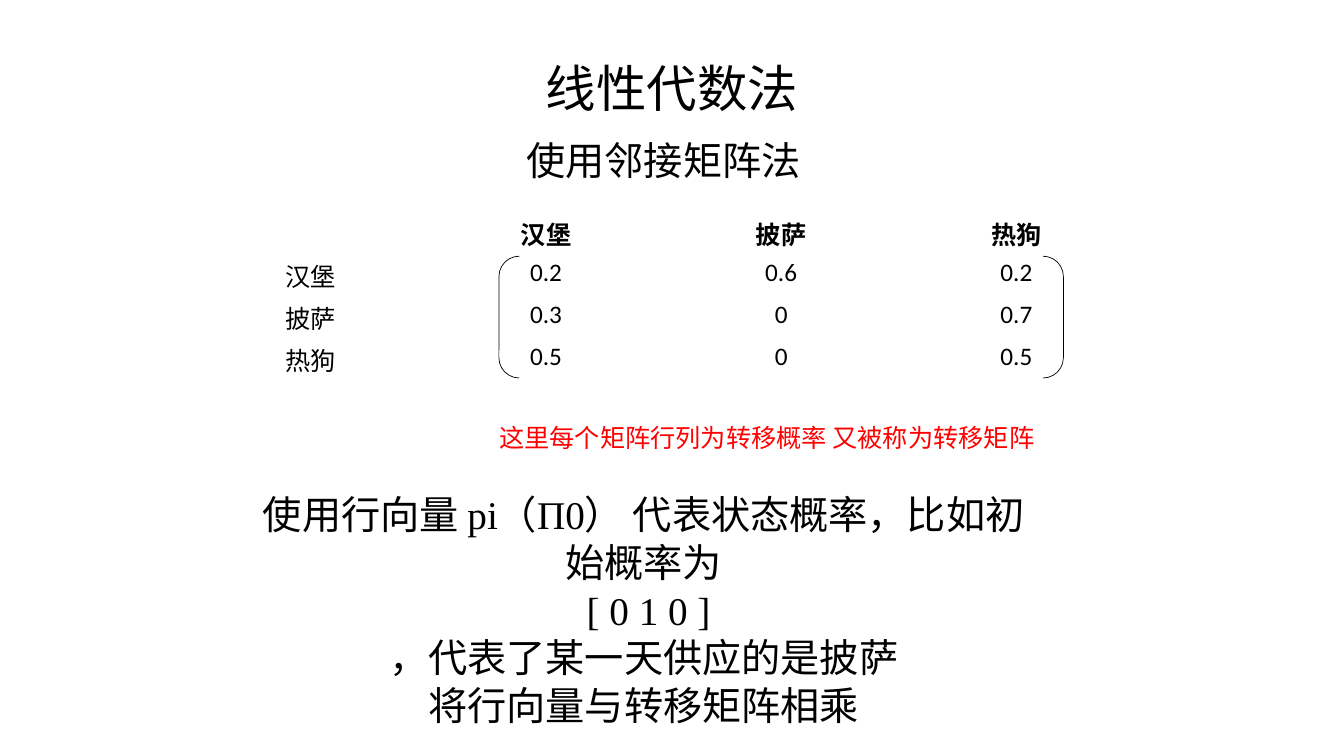
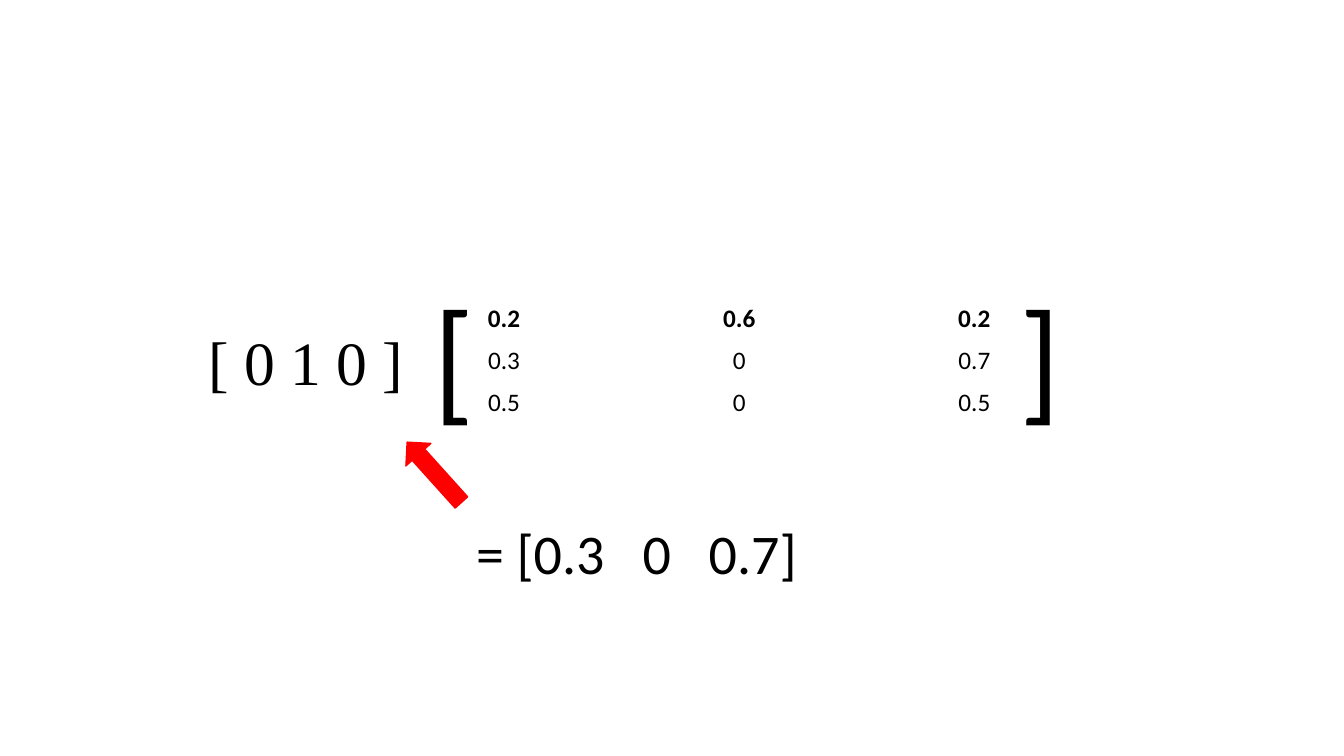
import pptx
import pptx.util
import pptx.dml.color
import pptx.enum.shapes
import pptx.enum.text
import pptx.oxml.ns
import lxml.etree

WIDE, HIGH = 13.33, 7.5
COLS, ROWS = 32, 18
INK = {"text": "000000", "mark": "FF0000", "page": "FFFFFF"}
SANS, HAN, SERIF = "Calibri", "Noto Sans CJK SC", "Times New Roman"
MID = pptx.enum.text.PP_ALIGN.CENTER
LEFT = pptx.enum.text.PP_ALIGN.LEFT
KIND = pptx.enum.shapes.MSO_SHAPE


def tint(name):
    return pptx.dml.color.RGBColor.from_string(INK[name])


def sub(node, tag, **attrs):
    return lxml.etree.SubElement(node, pptx.oxml.ns.qn(tag), **attrs)


def write(frame, text, size=18, font=SANS, ink="text", bold=False,
          align=MID, lead=None, gap=0):
    """Fill a frame; lead is in ems, a bar marks a space widened by gap points."""
    for i, line in enumerate(text.split("\n")):
        para = frame.paragraphs[0] if i == 0 else frame.add_paragraph()
        para.alignment = align
        para.space_before = pptx.util.Pt(0)
        if lead:
            para.line_spacing = pptx.util.Pt(round(size * lead))
        props = para._p.get_or_add_pPr()
        props.set("marL", "0")
        props.set("indent", "0")
        sub(props, "a:buNone")
        for part in line.replace("|", "| |").split("|"):
            run = para.add_run()
            run.text = part
            run.font.size = pptx.util.Pt(size)
            run.font.name = font
            run.font.bold = bold
            run.font.color.rgb = tint(ink)
            look = run._r.get_or_add_rPr()
            sub(look, "a:ea", typeface=HAN)
            if gap and part == " ":
                look.set("spc", str(gap * 100))


class Deck:
    def __init__(self):
        self.file = pptx.Presentation()
        self.file.slide_width = pptx.util.Inches(WIDE)
        self.file.slide_height = pptx.util.Inches(HIGH)
        self.page = None

    def add(self, layout):
        self.page = self.file.slides.add_slide(self.file.slide_layouts[layout])

    def box(self, col, row, wide, high):
        """Turn grid columns and rows into lengths."""
        x, y = WIDE / COLS, HIGH / ROWS
        return [pptx.util.Inches(n) for n in (col * x, row * y, wide * x, high * y)]

    def fit(self, frame, top):
        frame.word_wrap = True
        frame.auto_size = pptx.enum.text.MSO_AUTO_SIZE.NONE
        frame.vertical_anchor = pptx.enum.text.MSO_ANCHOR.TOP
        frame.margin_top = pptx.util.Inches(top)

    def hold(self, slot, place, text, top=0.05, **form):
        """Use a placeholder of the template."""
        shape = self.page.placeholders[slot]
        shape.left, shape.top, shape.width, shape.height = self.box(*place)
        self.fit(shape.text_frame, top)
        write(shape.text_frame, text, **form)

    def text(self, place, text, top=0.05, **form):
        frame = self.page.shapes.add_textbox(*self.box(*place)).text_frame
        self.fit(frame, top)
        write(frame, text, **form)

    def shape(self, kind, place, line, fill=None, width=1, turn=0):
        shape = self.page.shapes.add_shape(kind, *self.box(*place))
        shape.shadow.inherit = False
        shape.rotation = turn
        shape.line.color.rgb = tint(line)
        shape.line.width = pptx.util.Pt(width)
        if fill:
            shape.fill.solid()
            shape.fill.fore_color.rgb = tint(fill)
        else:
            shape.fill.background()

    def table(self, col, row, data):
        """Each cell is one grid row high and 5.6 columns wide."""
        rows, cols = len(data), len(data[0])
        place = self.box(col, row, 5.6 * cols, rows)
        grid = self.page.shapes.add_table(rows, cols, *place).table
        for r, line in enumerate(data):
            for c, value in enumerate(line):
                cell = grid.cell(r, c)
                cell.fill.solid()
                cell.fill.fore_color.rgb = tint("page")
                cell.margin_bottom = 0
                write(cell.text_frame, value, bold=r == 0)


def main():
    deck = Deck()
    foods = ["汉堡", "披萨", "热狗"]
    odds = [["0.2", "0.6", "0.2"], ["0.3", "0", "0.7"], ["0.5", "0", "0.5"]]

    # Transition matrix
    deck.add(1)
    deck.hold(0, (11.45, 1.25, 9.1, 1.7), "线性代数法",
              size=36, font=HAN, lead=1.2)
    deck.table(4.6, 5, [[""] + foods] + [[f] + o for f, o in zip(foods, odds)])
    deck.text((11.25, 3.12, 9.1, 1.37), "使用邻接矩阵法",
              size=28, font=HAN, lead=1.2)
    deck.shape(KIND.DOUBLE_BRACKET, (11.88, 6.1, 13.44, 2.9), "text", width=0.5)
    deck.hold(1, (5.95, 11.6, 18.75, 5.9),
              "使用行向量 pi（Π0） 代表状态概率，比如初始概率为\n [ 0 1 0 ]\n"
              "，代表了某一天供应的是披萨\n将行向量与转移矩阵相乘",
              size=28, font=SERIF, lead=1.2, top=0.03)
    deck.text((11.65, 9.94, 14.25, 0.96),
              "这里每个矩阵行列为转移概率 又被称为转移矩阵",
              ink="mark", align=LEFT, lead=1.2, top=0.04)

    # Vector times matrix
    deck.add(6)
    deck.table(9.2, 7.1, odds)
    for col, mark in ((10.08, "["), (24.03, "]")):
        deck.text((col, 6.38, 1.6, 4), mark, size=96, align=LEFT)
    deck.text((4.06, 7.6, 6.45, 2), "[ 0 1 0 ]", size=44, font=SERIF)
    deck.text((11.1, 12.22, 9.43, 1.85), "= [0.3|0|0.7]", size=40,
              align=LEFT, gap=18)
    deck.shape(KIND.UP_ARROW, (9.94, 10.28, 0.8, 1.93), "mark",
               fill="mark", turn=318)

    deck.file.save("out.pptx")


if __name__ == "__main__":
    main()
